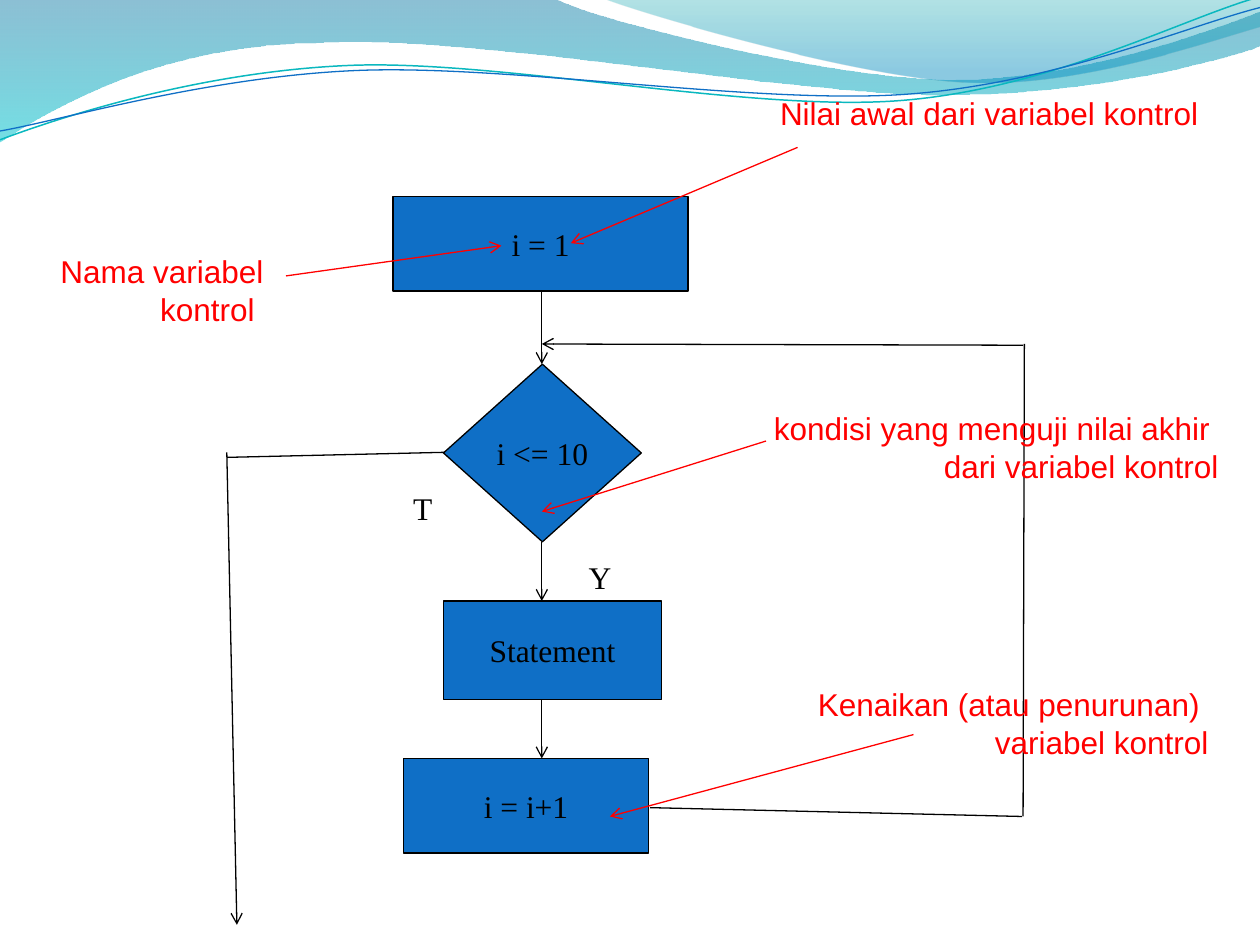
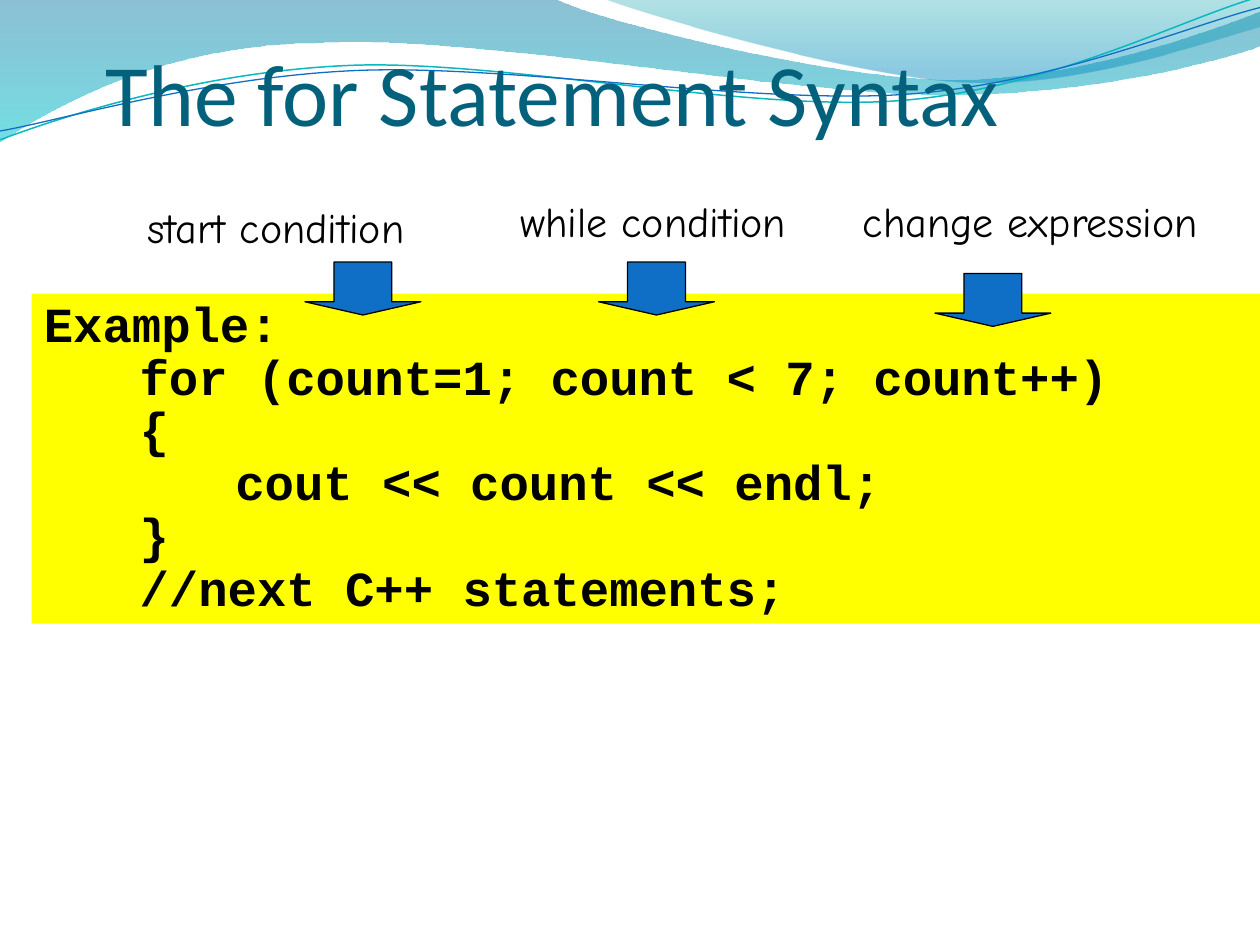
from lxml.etree import SubElement
from pptx import Presentation
from pptx.dml.color import RGBColor
from pptx.enum.shapes import MSO_CONNECTOR, MSO_SHAPE
from pptx.enum.text import MSO_ANCHOR, MSO_AUTO_SIZE, PP_ALIGN
from pptx.oxml import parse_xml
from pptx.oxml.ns import nsdecls, qn
from pptx.util import Inches, Pt

COLORS = {
    "box": "0F6FC6",
    "ink": "000000",
    "note": "FF0000",
    "title": "04617B",
    "code": "FFFF00",
    "teal line": "0AB8BF",
}


def paint(shape, fill=None, outline=None, width=0.75):
    """Give a shape a flat fill and outline, or none, and no shadow."""
    shape.shadow.inherit = False
    if fill:
        shape.fill.solid()
        shape.fill.fore_color.rgb = RGBColor.from_string(COLORS[fill])
    else:
        shape.fill.background()
    if outline:
        shape.line.color.rgb = RGBColor.from_string(COLORS[outline])
        shape.line.width = Pt(width)
    else:
        shape.line.fill.background()


def write(shape, lines, font, size, color="ink", align=PP_ALIGN.LEFT,
          anchor=MSO_ANCHOR.TOP, wrap=True, bold=False):
    """Put one paragraph per line into a shape and format them alike."""
    frame = shape.text_frame
    frame.text = "\n".join(lines)
    frame.word_wrap = wrap
    frame.auto_size = MSO_AUTO_SIZE.NONE
    frame.vertical_anchor = anchor
    for paragraph in frame.paragraphs:
        paragraph.alignment = align
        paragraph.font.name = font
        paragraph.font.size = Pt(size)
        paragraph.font.bold = bold
        paragraph.font.color.rgb = RGBColor.from_string(COLORS[color])


prs = Presentation()
prs.slide_width, prs.slide_height = Inches(10), Inches(7.5)
flow = prs.slides.add_slide(prs.slide_layouts[1])
syntax = prs.slides.add_slide(prs.slide_layouts[5])

# Waves on the master: each is a list of steps, two numbers for a corner
# and six for a Bezier curve. Bands have gradient stops, strands a line.
bands = [
    ([(0, -0.01), (4.4, -0.01), (4.76, 0.17, 6.64, 0.63, 7.58, 0.63),
      (8.53, 0.63, 9.58, 0.26, 10, 0.09), (10.01, 0.36),
      (9.83, 0.44, 8.7, 0.76, 7.46, 0.75),
      (6.22, 0.75, 3.82, 0.28, 2.57, 0.34),
      (1.29, 0.35, 0.46, 0.83, -0.01, 1.13)],
     [(0, "0074A1", 45), (1, "00C6CF", 55)]),
    ([(4.79, -0.01), (5.09, 0.11, 6.82, 0.62, 7.69, 0.65),
      (8.56, 0.69, 9.61, 0.32, 10, 0.21), (10, 0)],
     [(0, "00A1A9", 30), (0.8, "008BBF", 45)]),
]
strands = [
    ([(0, 1.11), (0.48, 0.93, 1.58, 0.57, 2.77, 0.52),
      (3.95, 0.47, 5.93, 0.89, 7.13, 0.8),
      (8.33, 0.71, 9.38, 0.15, 9.98, -0.02)], ("teal line", 0.85)),
    ([(0, 1.04), (0.47, 0.96, 1.64, 0.61, 2.83, 0.56),
      (4.03, 0.51, 5.97, 0.83, 7.17, 0.75),
      (8.36, 0.67, 9.41, 0.21, 10, 0.06)], ("box", 0.75)),
]
master_tree = prs.slide_master.shapes._spTree
for order, (steps, look) in enumerate(bands + strands):
    is_band = order < len(bands)
    points = [(Inches(step[i]), Inches(step[i + 1]))
              for step in steps for i in range(0, len(step), 2)]
    builder = flow.shapes.build_freeform(*points[0], scale=1.0)
    builder.add_line_segments(points[1:], close=is_band)
    wave = builder.convert_to_shape()
    # Join the three segments of each curve into one Bezier segment.
    segments = iter(wave._element.findall(".//" + qn("a:lnTo")))
    for step in steps[1:]:
        segment = next(segments)
        if len(step) == 6:
            curve = parse_xml(f"<a:cubicBezTo {nsdecls('a')}/>")
            segment.addprevious(curve)
            for part in (segment, next(segments), next(segments)):
                curve.append(part[0])
                part.getparent().remove(part)
    if is_band:
        paint(wave)
        wave.fill.gradient()
        wave.fill.gradient_angle = 270
        for stop, (position, color, _) in zip(wave.fill.gradient_stops, look):
            stop.position = position
            stop.color.rgb = RGBColor.from_string(color)
        stop_colors = wave._element.spPr.findall(".//" + qn("a:srgbClr"))
        for stop_color, (_, _, opacity) in zip(stop_colors, look):
            SubElement(stop_color, qn("a:alpha"), val=str(opacity * 1000))
    else:
        paint(wave, outline=look[0], width=look[1])
    wave._element.nvSpPr.cNvPr.set("id", str(100 + order))
    master_tree.insert(2 + order, wave._element)

# Slide 1: flowchart of the loop
flow.shapes.title._element.getparent().remove(flow.shapes.title._element)
start = flow.placeholders[1]
start.left, start.top = Inches(3.12), Inches(1.56)
start.width, start.height = Inches(2.34), Inches(0.75)
boxes = [(start, "i = 1")]
for kind, text, left, top, width, height in [
    (MSO_SHAPE.DIAMOND, "i <= 10", 3.52, 2.89, 1.57, 1.41),
    (MSO_SHAPE.RECTANGLE, "Statement", 3.52, 4.77, 1.73, 0.78),
    (MSO_SHAPE.RECTANGLE, "i = i+1", 3.2, 6.02, 1.95, 0.75),
]:
    boxes.append((flow.shapes.add_shape(
        kind, Inches(left), Inches(top), Inches(width), Inches(height)), text))
for box, text in boxes:
    paint(box, "box", "ink")
    write(box, [text], "Times New Roman", 18, align=PP_ALIGN.CENTER,
          anchor=MSO_ANCHOR.MIDDLE, wrap=False)
start_format = start.text_frame.paragraphs[0]._p.get_or_add_pPr()
start_format.set("marL", "0")
start_format.set("indent", "0")
start_format.insert(0, parse_xml(f"<a:buNone {nsdecls('a')}/>"))

AXIS = 4.3
for x1, y1, x2, y2, color, has_head in [
    (AXIS, 2.31, AXIS, 2.89, "ink", True),
    (AXIS, 4.3, AXIS, 4.77, "ink", True),
    (AXIS, 5.55, AXIS, 6.02, "ink", True),
    (8.11, 6.48, 5.16, 6.41, "ink", False),
    (8.13, 2.73, 8.12, 6.48, "ink", False),
    (8.12, 2.74, AXIS, 2.73, "ink", True),
    (3.53, 3.59, 1.8, 3.63, "ink", False),
    (1.8, 3.59, 1.88, 7.34, "ink", True),
    (2.27, 2.19, 3.98, 1.95, "note", True),
    (6.33, 1.17, 4.53, 1.93, "note", True),
    (6.08, 3.5, AXIS, 4.06, "note", True),
    (7.25, 5.83, 4.84, 6.48, "note", True),
]:
    link = flow.shapes.add_connector(MSO_CONNECTOR.STRAIGHT, Inches(x1),
                                     Inches(y1), Inches(x2), Inches(y2))
    link.line.color.rgb = RGBColor.from_string(COLORS[color])
    link.line.width = Pt(0.75)
    if has_head:
        SubElement(link.line._get_or_add_ln(), qn("a:tailEnd"), type="arrow")
    SubElement(link._element.spPr, qn("a:effectLst"))

for lines, left, top, width, height, font, color in [
    (["Y"], 4.53, 4.38, 0.42, 0.4, "Times New Roman", "ink"),
    (["T"], 3.11, 3.83, 0.42, 0.4, "Times New Roman", "ink"),
    (["Nama variabel kontrol "], 0.16, 1.95, 2.03, 0.71, "Arial", "note"),
    (["Nilai awal dari variabel kontrol"],
     5.47, 0.7, 4.14, 0.4, "Arial", "note"),
    (["kondisi yang menguji nilai akhir ", "dari variabel kontrol"],
     5.39, 3.2, 4.38, 0.71, "Arial", "note"),
    (["Kenaikan (atau penurunan) ", "variabel kontrol"],
     5.86, 5.39, 3.83, 0.71, "Arial", "note"),
]:
    label = flow.shapes.add_textbox(Inches(left), Inches(top),
                                    Inches(width), Inches(height))
    write(label, lines, font, 18, color, PP_ALIGN.RIGHT)

# Slide 2: syntax of the for statement
title = syntax.shapes.title
title.left, title.top = Inches(0.84), Inches(0.33)
title.width, title.height = Inches(8.41), Inches(0.75)
write(title, ["The for Statement Syntax"], "Calibri", 50, "title",
      anchor=MSO_ANCHOR.MIDDLE)
title_frame = title.text_frame
title_frame.margin_left = title_frame.margin_right = 0
title_frame.margin_top, title_frame.margin_bottom = Inches(0.05), 0

code = syntax.shapes.add_shape(MSO_SHAPE.RECTANGLE, Inches(0.25), Inches(2.33),
                               Inches(9.75), Inches(2.62))
paint(code, "code")
write(code, [
    "Example:\v\tfor (count=1; count < 7; count++)",
    "\t{\v\t\tcout << count << endl;\v\t}\v\t//next C++ statements;",
], "Courier New", 28, bold=True)
TAB = 0.76
for paragraph in code.text_frame.paragraphs:
    paragraph.line_spacing = 0.9
    tab_stops = parse_xml(f"<a:tabLst {nsdecls('a')}/>")
    for level in (1, 2):
        SubElement(tab_stops, qn("a:tab"), pos=str(Inches(TAB * level)),
                   algn="l")
    paragraph._p.pPr.find(qn("a:defRPr")).addprevious(tab_stops)

for text, left, top, width, arrow_left, arrow_top in [
    ("start condition", 1.07, 1.55, 2.52, 2.42, 2.08),
    ("while condition", 4.03, 1.5, 2.5, 4.75, 2.08),
    ("change expression", 6.75, 1.5, 3.04, 7.42, 2.17),
]:
    caption = syntax.shapes.add_textbox(Inches(left), Inches(top),
                                        Inches(width), Inches(0.5))
    write(caption, [text], "Comic Neue", 24, wrap=False)
    pointer = syntax.shapes.add_shape(
        MSO_SHAPE.DOWN_ARROW, Inches(arrow_left), Inches(arrow_top),
        Inches(0.92), Inches(0.42))
    pointer.adjustments[0], pointer.adjustments[1] = 0.5, 0.25
    paint(pointer, "box", "ink")

prs.save("out.pptx")
